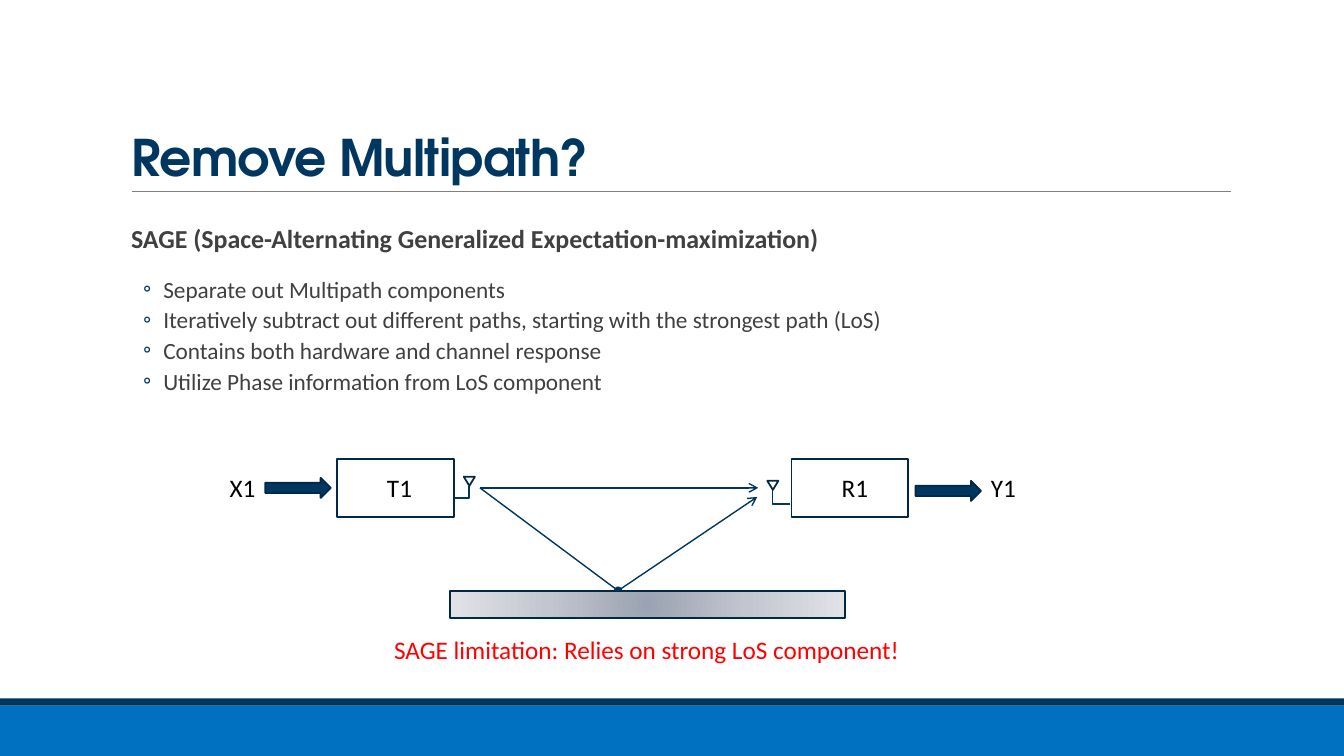
from pptx import Presentation
from pptx.dml.color import RGBColor
from pptx.enum import shapes, text
from pptx.oxml import parse_xml
from pptx.oxml.ns import nsdecls, qn
from pptx.util import Inches, Pt
from lxml import etree

NAVY = RGBColor(0x00, 0x37, 0x60)
OUTLINE = RGBColor(0x00, 0x29, 0x47)
BLUE = RGBColor(0x00, 0x70, 0xC0)
GRAY = RGBColor(0x80, 0x80, 0x80)
BODY = RGBColor(0x40, 0x40, 0x40)
BLACK = RGBColor(0x00, 0x00, 0x00)
RED = RGBColor(0xFF, 0x00, 0x00)
GRADIENT = ((0, "9BA2B1"), (50000, "C3C6CF"), (100000, "E2E3E7"))

HEADING = "SAGE (Space-Alternating Generalized Expectation-maximization)"
BULLETS = (
    "Separate out Multipath components",
    "Iteratively subtract out different paths, starting with the strongest path (LoS)",
    "Contains both hardware and channel response",
    "Utilize Phase information from LoS component",
)

RECTANGLE = shapes.MSO_SHAPE.RECTANGLE
STRAIGHT = shapes.MSO_CONNECTOR.STRAIGHT
ELBOW = shapes.MSO_CONNECTOR.ELBOW


def place(shape, left, top, width, height):
    shape.left, shape.top = Inches(left), Inches(top)
    shape.width, shape.height = Inches(width), Inches(height)


def style(font, size, color, bold=False, name="Calibri"):
    font.name, font.size, font.bold = name, Pt(size), bold
    font.color.rgb = color


def add_box(slide, kind, box, fill=None, line=OUTLINE):
    shape = slide.shapes.add_shape(kind, *map(Inches, box))
    shape.shadow.inherit = False
    if fill is None:
        shape.fill.background()
    else:
        shape.fill.solid()
        shape.fill.fore_color.rgb = fill
    if line is None:
        shape.line.fill.background()
    else:
        shape.line.color.rgb = line
        shape.line.width = Pt(1.25)
    return shape


def add_line(slide, start, end, color=NAVY, width=1, tail=None, kind=STRAIGHT):
    line = slide.shapes.add_connector(kind, *map(Inches, start + end))
    line.line.color.rgb = color
    line.line.width = Pt(width)
    if tail:
        etree.SubElement(line.line._get_or_add_ln(), qn("a:tailEnd"), type=tail)
    properties = line._element.spPr
    etree.SubElement(properties, qn("a:effectLst"))
    if kind == ELBOW:
        # Bend right below the antenna
        guides = properties.find(qn("a:prstGeom")).get_or_add_avLst()
        etree.SubElement(guides, qn("a:gd"), name="adj1", fmla="val 100000")
    return line


def add_label(slide, wording, left, top, width, color=BLACK, wrap=False):
    label = slide.shapes.add_textbox(*map(Inches, (left, top, width, 0.4)))
    frame = label.text_frame
    frame.word_wrap = wrap
    frame.text = wording
    style(frame.paragraphs[0].font, 18, color)


def add_antenna(slide, foot, top):
    add_line(slide, foot, top, kind=ELBOW)
    left, height = top[0] - 0.05, 0.09
    triangle = add_box(slide, shapes.MSO_SHAPE.ISOSCELES_TRIANGLE,
                       (left, top[1] - height, 0.11, height))
    triangle.rotation = 180


def add_station(slide, name, left):
    add_box(slide, RECTANGLE, (left, 4.55, 1.16, 0.58))
    add_label(slide, name, left + 0.4, 4.64, 0.46)


def add_reflector(slide):
    reflector = add_box(slide, RECTANGLE, (4.46, 5.86, 3.92, 0.27), NAVY)
    stops = "".join(f'<a:gs pos="{pos}"><a:srgbClr val="{color}"/></a:gs>'
                    for pos, color in GRADIENT)
    gradient = parse_xml(
        f'<a:gradFill {nsdecls("a")}><a:gsLst>{stops}</a:gsLst><a:path path="circle">'
        '<a:fillToRect l="50000" t="50000" r="50000" b="50000"/></a:path></a:gradFill>')
    properties = reflector._element.spPr
    properties.replace(properties.find(qn("a:solidFill")), gradient)


def set_bullet(paragraph, character=None):
    properties = paragraph._p.get_or_add_pPr()
    if character is None:
        properties.set("marL", str(Inches(0.1)))
        properties.set("indent", "0")
        etree.SubElement(properties, qn("a:buNone"))
        return
    properties.set("marL", str(Inches(0.42)))
    properties.set("indent", str(Inches(-0.2)))
    color = etree.SubElement(properties, qn("a:buClr"))
    etree.SubElement(color, qn("a:srgbClr"), val=str(NAVY))
    etree.SubElement(properties, qn("a:buFont"), typeface="Calibri")
    etree.SubElement(properties, qn("a:buChar"), char=character)


def fill_title(title):
    place(title, 1.2, 0.31, 11, 1.59)
    frame = title.text_frame
    frame.text = "Remove Multipath?"
    frame.auto_size = text.MSO_AUTO_SIZE.NONE
    frame.vertical_anchor = text.MSO_ANCHOR.BOTTOM
    paragraph = frame.paragraphs[0]
    paragraph.alignment = text.PP_ALIGN.LEFT
    paragraph.line_spacing = 0.85
    run = paragraph.runs[0]
    style(run.font, 36, NAVY, True, "TeX Gyre Adventor")
    run._r.get_or_add_rPr().set("spc", "-50")


def fill_body(body):
    place(body, 1.2, 2.22, 11, 1.95)
    frame = body.text_frame
    frame.auto_size = text.MSO_AUTO_SIZE.NONE
    frame.margin_left = frame.margin_right = 0
    frame.text = "\n".join((HEADING,) + BULLETS)
    for index, paragraph in enumerate(frame.paragraphs):
        heading = index == 0
        paragraph.level = 0 if heading else 1
        paragraph.line_spacing = 0.8
        paragraph.space_before = Pt({0: 0, 1: 17}.get(index, 2))
        paragraph.space_after = Pt(2 if heading else 4)
        set_bullet(paragraph, None if heading else "◦")
        style(paragraph.runs[0].font, 18.5 if heading else 16.6, BODY, heading)


def main():
    presentation = Presentation()
    presentation.slide_width = Inches(13.33)
    presentation.slide_height = Inches(7.5)
    slide = presentation.slides.add_slide(presentation.slide_layouts[1])

    # Footer bars and title rule
    add_box(slide, RECTANGLE, (0, 7, 13.33, 0.5), BLUE, None)
    add_box(slide, RECTANGLE, (0, 6.93, 13.33, 0.07), NAVY, None)
    add_line(slide, (1.31, 1.9), (12.21, 1.9), GRAY, 0.5)

    # Title and list
    fill_title(slide.shapes.title)
    fill_body(slide.placeholders[1])

    # Transmitter and receiver with their signals
    add_station(slide, "T1", 3.34)
    add_station(slide, "R1", 7.85)
    add_label(slide, "X1", 2.18, 4.64, 0.54)
    add_label(slide, "Y1", 9.73, 4.64, 0.45)
    for left, top in ((2.63, 4.74), (9.08, 4.77)):
        add_box(slide, shapes.MSO_SHAPE.RIGHT_ARROW, (left, top, 0.65, 0.2), NAVY)
    add_antenna(slide, (4.5, 4.94), (4.65, 4.82))
    add_antenna(slide, (7.84, 5), (7.66, 4.86))

    # Direct path and path bounced off the reflector
    source, bounce = (4.76, 4.84), (6.13, 5.86)
    add_line(slide, source, (7.52, 4.84), tail="arrow")
    add_line(slide, source, bounce, tail="oval")
    add_reflector(slide)
    add_line(slide, bounce, (7.51, 4.93), tail="arrow")

    # Limitation note
    add_label(slide, "SAGE limitation: Relies on strong LoS component!",
              3.81, 6.24, 5.28, RED, True)

    presentation.save("out.pptx")


if __name__ == "__main__":
    main()
